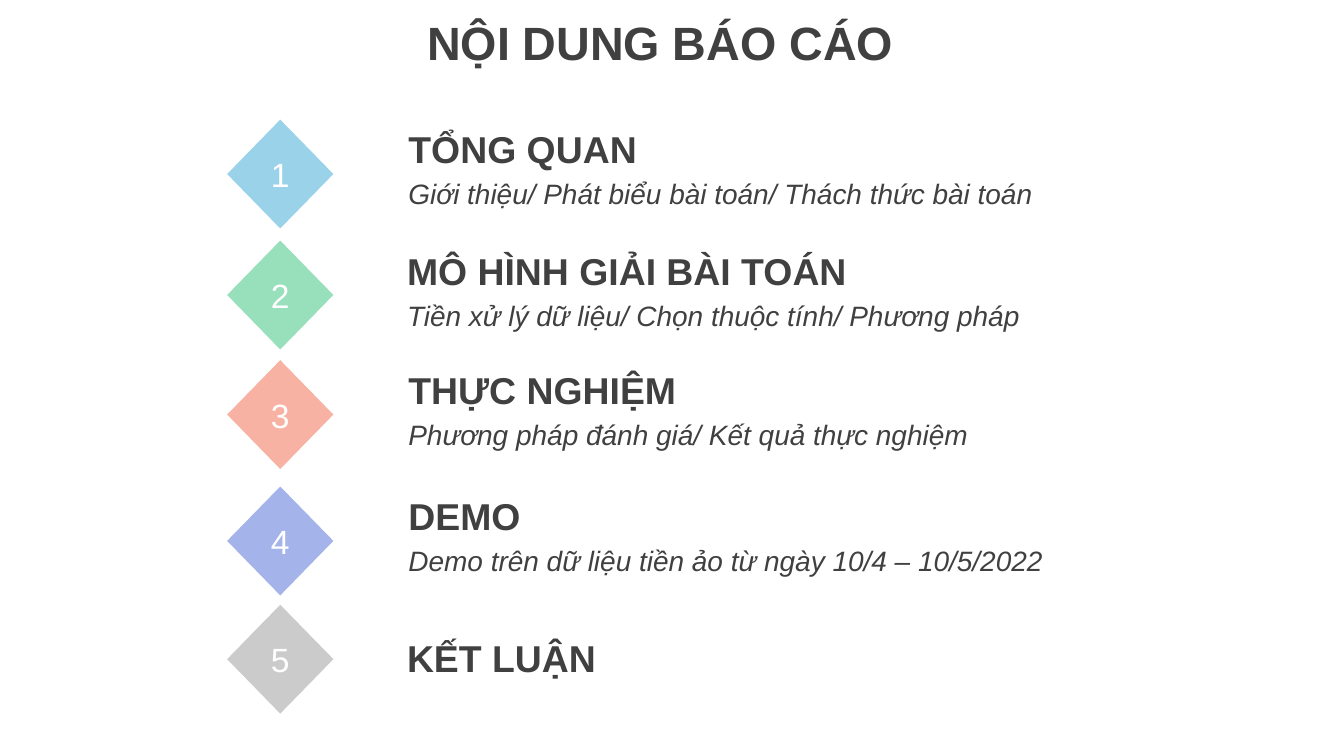
from pptx import Presentation
from pptx.dml.color import RGBColor
from pptx.enum.shapes import MSO_SHAPE
from pptx.enum.text import MSO_ANCHOR, PP_ALIGN
from pptx.util import Inches, Pt

DIAMOND = MSO_SHAPE.DIAMOND
MIDDLE = MSO_ANCHOR.MIDDLE
CENTER = PP_ALIGN.CENTER

WHITE = RGBColor(0xFF, 0xFF, 0xFF)
DARK_GRAY = RGBColor(0x40, 0x40, 0x40)
BLUE = RGBColor(0x9A, 0xD3, 0xE9)
GREEN = RGBColor(0x98, 0xDF, 0xBB)
CORAL = RGBColor(0xF8, 0xB2, 0xA3)
VIOLET = RGBColor(0xA4, 0xB4, 0xEA)
LIGHT_GRAY = RGBColor(0xCB, 0xCB, 0xCB)

# Diamond top, text left, text top, color, heading, details
AGENDA = [
    (0.89, 2.94, 0.89, BLUE, "TỔNG QUAN",
     "Giới thiệu/ Phát biểu bài toán/ Thách thức bài toán"),
    (1.79, 2.93, 1.80, GREEN, "MÔ HÌNH GIẢI BÀI TOÁN",
     "Tiền xử lý dữ liệu/ Chọn thuộc tính/ Phương pháp"),
    (2.68, 2.94, 2.68, CORAL, "THỰC NGHIỆM",
     "Phương pháp đánh giá/ Kết quả thực nghiệm"),
    (3.62, 2.94, 3.62, VIOLET, "DEMO",
     "Demo trên dữ liệu tiền ảo từ ngày 10/4 – 10/5/2022"),
    (4.50, 2.93, 4.68, LIGHT_GRAY, "KẾT LUẬN", None),
]


class AgendaSlide:
    font_name = "Arial"

    def __init__(self, slide):
        self.slide = slide

    def style(self, paragraph, text, size, color, bold=False, italic=False):
        paragraph.text = text
        font = paragraph.font
        font.name = self.font_name
        font.size = Pt(size)
        font.color.rgb = color
        font.bold = bold
        font.italic = italic

    def text_frame(self, left, top, width, height):
        box = self.slide.shapes.add_textbox(
            Inches(left), Inches(top), Inches(width), Inches(height))
        box.text_frame.word_wrap = True
        return box.text_frame

    def title(self, text):
        frame = self.text_frame(3.08, 0.05, 3.85, 0.52)
        self.style(frame.paragraphs[0], text, 25, DARK_GRAY, bold=True)

    def diamond(self, top, color, number):
        shape = self.slide.shapes.add_shape(
            DIAMOND, Inches(1.69), Inches(top), Inches(0.79), Inches(0.81))
        shape.shadow.inherit = False
        shape.fill.solid()
        shape.fill.fore_color.rgb = color
        shape.line.fill.background()
        shape.text_frame.vertical_anchor = MIDDLE
        paragraph = shape.text_frame.paragraphs[0]
        paragraph.alignment = CENTER
        self.style(paragraph, str(number), 18, WHITE)

    def entry(self, left, top, heading, details):
        frame = self.text_frame(left, top, 5.91, 0.73 if details else 0.44)
        self.style(frame.paragraphs[0], heading, 20, DARK_GRAY, bold=True)
        if details:
            paragraph = frame.add_paragraph()
            paragraph.space_before = Pt(3)
            self.style(paragraph, details, 15, DARK_GRAY, italic=True)


def main():
    presentation = Presentation()
    presentation.slide_width = Inches(10)
    # Widescreen 16:9
    presentation.slide_height = presentation.slide_width * 9 // 16
    blank_layout = presentation.slide_layouts[6]
    agenda = AgendaSlide(presentation.slides.add_slide(blank_layout))

    # Title
    agenda.title("NỘI DUNG BÁO CÁO")

    # Numbered agenda entries
    for number, row in enumerate(AGENDA, start=1):
        diamond_top, text_left, text_top, color, heading, details = row
        agenda.diamond(diamond_top, color, number)
        agenda.entry(text_left, text_top, heading, details)

    presentation.save("out.pptx")


if __name__ == "__main__":
    main()
